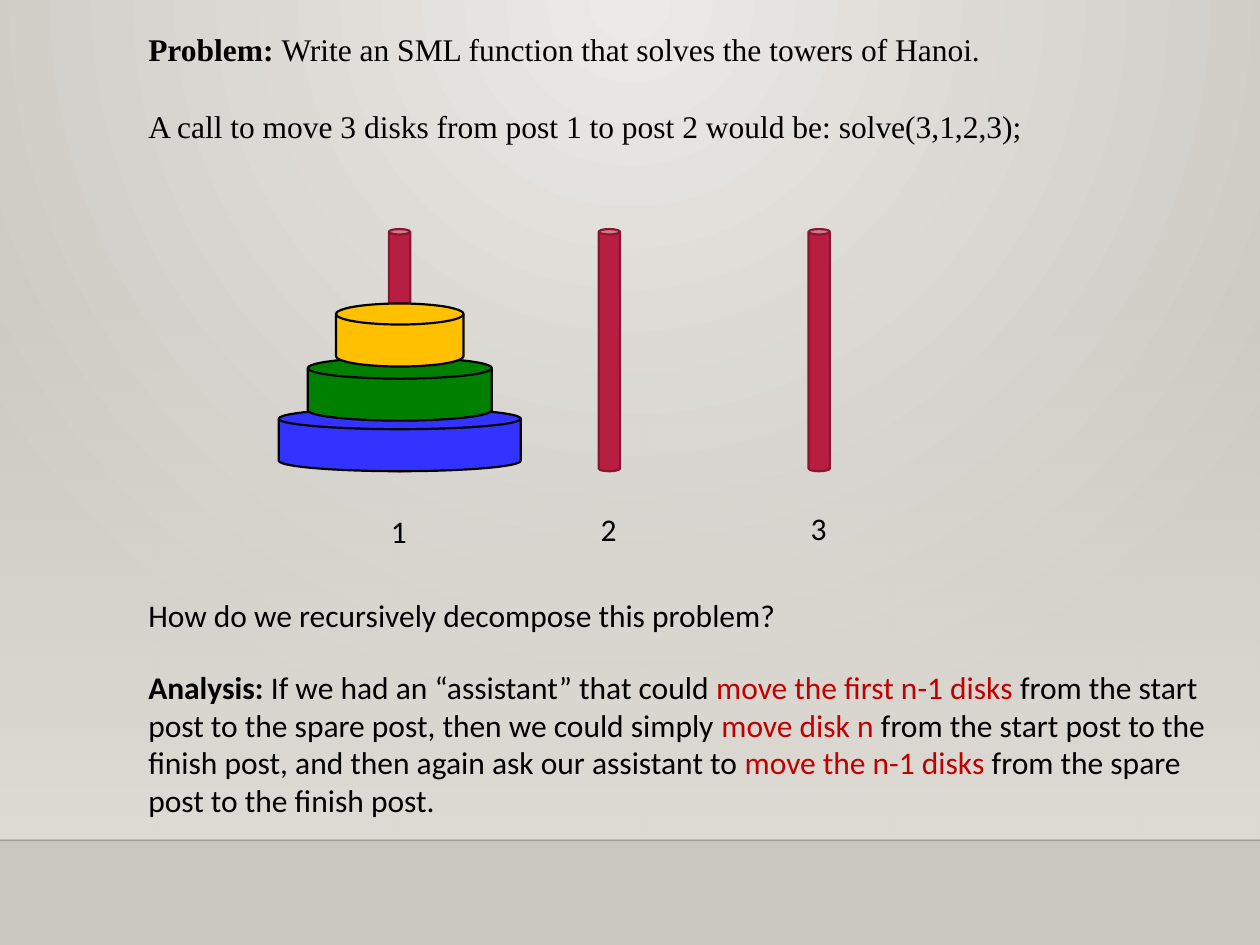
import pptx
import pptx.dml.color
import pptx.enum.shapes
import pptx.enum.text
import pptx.oxml
import pptx.oxml.ns
import pptx.util
from dataclasses import dataclass

Cm = pptx.util.Cm
Pt = pptx.util.Pt
Kind = pptx.enum.shapes.MSO_SHAPE
qn = pptx.oxml.ns.qn


@dataclass(frozen=True)
class Theme:
    glow: str = "ECEAE7"
    edge: str = "CAC7C1"
    panel: str = "DFDBD5"
    rule: str = "000001"
    ink: str = "000000"
    key: str = "C00000"
    post: str = "B71E42"
    rim: str = "871631"
    blue: str = "3333FF"
    green: str = "008000"
    gold: str = "FFC000"
    sans: str = "Calibri"
    serif: str = "Times New Roman"
    size: float = 18
    line: float = 1.25


def rgb(code):
    return pptx.dml.color.RGBColor.from_string(code)


def put(item, form):
    for name, value in form.items():
        setattr(item, name, value)


def add(node, tag, **attrs):
    child = pptx.oxml.parse_xml(f'<{tag} {pptx.oxml.ns.nsdecls("a")}/>')
    for name, value in attrs.items():
        child.set(name, str(value))
    node.append(child)
    return child


class Page:
    def __init__(self, slide, theme):
        self.slide, self.theme = slide, theme

    def blend(self, fill, first, last):
        fill.gradient()
        for stop, code, at in zip(fill.gradient_stops, (first, last), (0, 1)):
            stop.color.rgb = rgb(code)
            stop.position = at

    def back(self):
        """Fill the background with a glow from the top centre."""
        self.blend(self.slide.background.fill, self.theme.glow, self.theme.edge)
        grad = next(self.slide._element.iter(qn("a:gradFill")))
        grad.remove(grad.find(qn("a:lin")))
        ring = add(grad, "a:path", path="circle")
        add(ring, "a:fillToRect", l=43000, t=0, r=43000, b=100000)

    def shape(self, kind, box, fill=None, line=None):
        shape = self.slide.shapes.add_shape(kind, *map(Cm, box))
        shape.shadow.inherit = False
        if fill:
            shape.fill.solid()
            shape.fill.fore_color.rgb = rgb(fill)
        if line:
            shape.line.color.rgb = rgb(line)
            shape.line.width = Pt(self.theme.line)
        else:
            shape.line.fill.background()
        return shape

    def panel(self, box):
        """Add a band that fades in from clear at the top."""
        shape = self.shape(Kind.RECTANGLE, box)
        self.blend(shape.fill, self.theme.panel, self.theme.panel)
        shape.fill.gradient_angle = 270
        add(next(shape._element.iter(qn("a:srgbClr"))), "a:alpha", val=0)

    def rule(self, left, right, top):
        line = self.slide.shapes.add_connector(
            pptx.enum.shapes.MSO_CONNECTOR.STRAIGHT,
            Cm(left), Cm(top), Cm(right), Cm(top))
        line.line.color.rgb = rgb(self.theme.rule)
        line.line.width = Pt(1)
        add(next(line._element.iter(qn("a:srgbClr"))), "a:alpha", val=20000)
        add(line._element.spPr, "a:effectLst")

    def text(self, box, paras, font=None, wrap=True, gap=0, hang=0):
        """Each paragraph is a list of (words, format) pairs."""
        frame = self.slide.shapes.add_textbox(*map(Cm, box)).text_frame
        put(frame, {"word_wrap": wrap,
                    "auto_size": pptx.enum.text.MSO_AUTO_SIZE.SHAPE_TO_FIT_TEXT})
        base = {"name": font or self.theme.sans, "size": Pt(self.theme.size),
                "bold": False}
        for i, runs in enumerate(paras):
            para = frame.paragraphs[0] if i == 0 else frame.add_paragraph()
            if i and gap:
                para.space_before = Pt(gap)
            if hang:
                props = para._p.get_or_add_pPr()
                props.set("marL", str(Cm(hang)))
                props.set("indent", str(-Cm(hang)))
            for words, form in runs:
                run = para.add_run()
                run.text = words
                form = {**base, "color": self.theme.ink, **form}
                run.font.color.rgb = rgb(form.pop("color"))
                put(run.font, form)


def main():
    deck = pptx.Presentation()
    put(deck, {"slide_width": Cm(25.4), "slide_height": Cm(19.05)})
    theme = Theme()
    page = Page(deck.slides.add_slide(deck.slide_layouts[6]), theme)
    bold, key = {"bold": True}, {"color": theme.key}
    left, mid, step = 2.74, 8.06, 4.23

    page.back()
    page.panel((0, 5.59, 25.4, 11.33))
    page.rule(0, 25.4, 16.94)

    page.text((left, 0.48, 21.39, 2.57), [
        [("Problem: ", bold),
         ("Write an SML function that solves the towers of Hanoi.", {})],
        [("A call to move 3 disks from post 1 to post 2 would be: "
          "solve(3,1,2,3);", {})],
    ], font=theme.serif, gap=22.5, hang=1.27)

    for i in range(3):
        x = mid + i * step
        page.shape(Kind.CAN, (x - 0.22, 4.62, 0.43, 4.88), theme.post, theme.rim)
        page.text((x - 0.43, 10.19 - 0.03 * i, 0.84, 1.02),
                  [[(str(i + 1), {})]], wrap=False)

    disks = [(4.88, 8.23, theme.blue), (3.71, 7.21, theme.green),
             (2.57, 6.12, theme.gold)]
    for wide, top, fill in disks:
        page.shape(Kind.FLOWCHART_MAGNETIC_DISK,
                   (mid - wide / 2, top, wide, 1.27), fill, theme.ink)

    page.text((left, 11.89, 13.31, 1.02),
              [[("How do we recursively decompose this problem?", {})]],
              wrap=False)
    page.text((left, 13.34, 22.23, 3.33), [[
        ("Analysis:", bold),
        (" If we had an “assistant” that could ", {}),
        ("move the first n-1 disks ", key),
        ("from the start post to the spare post, then we could simply ", {}),
        ("move disk n ", key),
        ("from the start post to the finish post, and then again ask our "
         "assistant to ", {}),
        ("move the n-1 disks ", key),
        ("from the spare post to the finish post.", {}),
    ]])

    deck.save("out.pptx")


if __name__ == "__main__":
    main()
